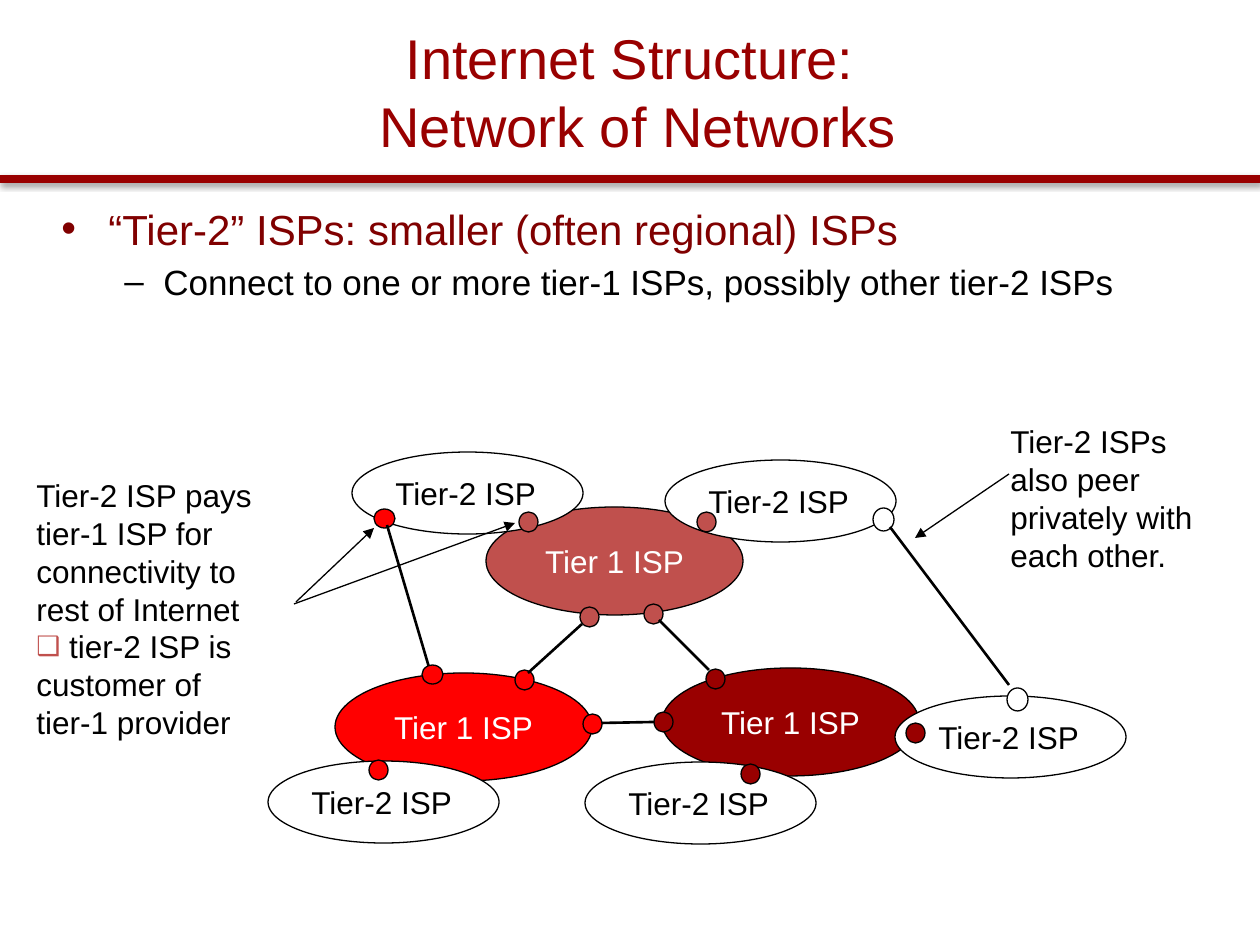
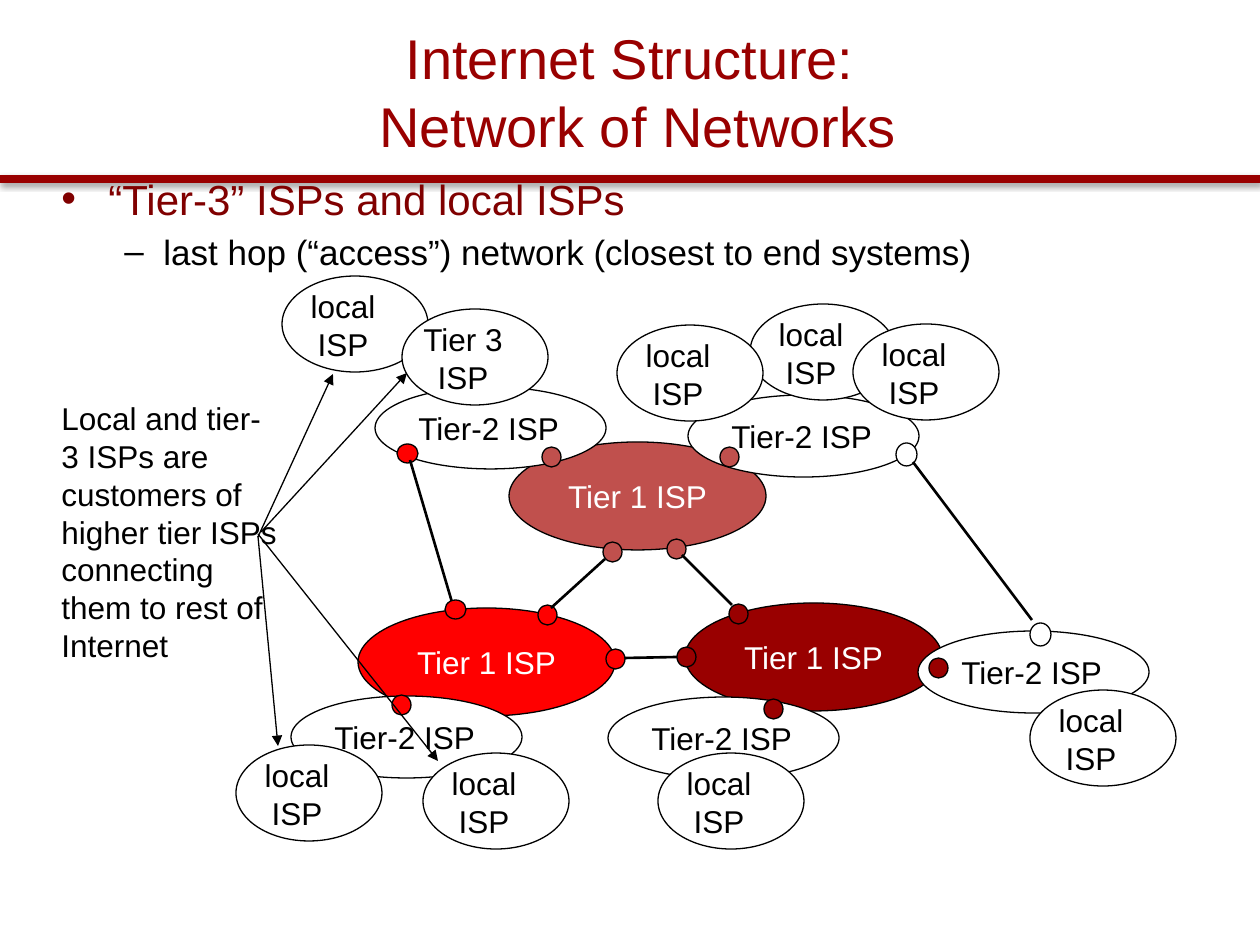
from lxml.etree import SubElement
from pptx import Presentation
from pptx.dml.color import RGBColor
from pptx.enum.shapes import MSO_CONNECTOR, MSO_SHAPE
from pptx.enum.text import MSO_ANCHOR, PP_ALIGN
from pptx.oxml.ns import qn
from pptx.util import Pt

SCALE = 914400 / 126
FONT = "Arial"
DARK, RED, ROSE = "990000", "FF0000", "C0504D"
MAROON, BLACK, WHITE = "800000", "000000", "FFFFFF"
TITLE = "Internet Structure:\v Network of Networks"

TIER1 = [(335, 673, RED), (486, 507, ROSE), (662, 668, DARK)]
DOTS = [(706, 669, DARK), (644, 604, ROSE), (580, 607, ROSE),
        (515, 670, RED), (583, 714, RED), (654, 712, DARK)]
LINKS = [(602, 723, 654, 722), (659, 620, 709, 670), (528, 673, 582, 624)]
TIER2 = [(665, 460), (352, 452), (268, 761), (585, 762), (895, 696)]
GATES = [(697, 512, ROSE), (519, 512, ROSE), (369, 760, RED),
         (741, 764, DARK), (906, 723, DARK)]
LOCALS = [(750, 304, "local"), (617, 325, "local"), (853, 324, "local"),
          (236, 745, "local"), (282, 276, "local"), (402, 309, "Tier 3"),
          (423, 753, "local"), (658, 753, "local"), (1030, 690, "local")]


def px(*nums):
    """Turn px lengths into EMU."""
    return [round(num * SCALE) for num in nums]


def rgb(code):
    """Turn a hex string into a colour."""
    return RGBColor.from_string(code)


def style(par, text, size, color, align=PP_ALIGN.LEFT):
    """Fill one paragraph and set its font."""
    par.text = text
    par.alignment = align
    par.font.name = FONT
    par.font.size = Pt(size)
    par.font.color.rgb = rgb(color)


def bullet(par, char, color, size=100, left=0, hang=0):
    """Give a paragraph a bullet and a hanging indent."""
    props = par._p.get_or_add_pPr()
    left, hang = px(left, hang)
    props.set("marL", str(left))
    props.set("indent", str(-hang))
    tint = SubElement(props, qn("a:buClr"))
    SubElement(tint, qn("a:srgbClr"), val=color)
    SubElement(props, qn("a:buSzPct"), val=str(size * 1000))
    SubElement(props, qn("a:buFont"), typeface=FONT)
    SubElement(props, qn("a:buChar"), char=char)


def pars(frame, count):
    """Return the wanted number of paragraphs of a frame."""
    return [frame.paragraphs[0]] + [frame.add_paragraph() for _ in range(count - 1)]


def label(slide, box, lines, size=18, color=BLACK, align=PP_ALIGN.LEFT, wrap=True):
    """Add a text box with one paragraph a line."""
    frame = slide.shapes.add_textbox(*px(*box)).text_frame
    frame.word_wrap = wrap
    for par, line in zip(pars(frame, len(lines)), lines):
        style(par, line, size, color, align)
    return frame


def oval(slide, x, y, wide, high, fill, text=""):
    """Add an outlined ellipse, with a white label if there is text."""
    shape = slide.shapes.add_shape(MSO_SHAPE.OVAL, *px(x, y, wide, high))
    shape.shadow.inherit = False
    shape.fill.solid()
    shape.fill.fore_color.rgb = rgb(fill)
    shape.line.color.rgb = rgb(BLACK)
    shape.line.width = Pt(0.75)
    if text:
        frame = shape.text_frame
        frame.word_wrap = False
        frame.vertical_anchor = MSO_ANCHOR.MIDDLE
        style(frame.paragraphs[0], text, 18, WHITE, PP_ALIGN.CENTER)


def line(slide, ends, width=1.5, color=BLACK):
    """Add a straight line and return it with its empty effect list."""
    wire = slide.shapes.add_connector(MSO_CONNECTOR.STRAIGHT, *px(*ends))
    wire.line.color.rgb = rgb(color)
    wire.line.width = Pt(width)
    return wire, SubElement(wire._element.spPr, qn("a:effectLst"))


def arrow(slide, *ends):
    """Add a thin line with an arrowhead at its end."""
    wire, _ = line(slide, ends, 0.75)
    SubElement(wire.line._get_or_add_ln(), qn("a:tailEnd"), type="triangle")


def band(slide):
    """Add the shadowed rule below the title."""
    _, effects = line(slide, (0, 179, 1260, 179), 5, DARK)
    shade = SubElement(effects, qn("a:outerShdw"), blurRad=str(Pt(3.1)),
                       dist=str(Pt(1.6)), dir="5400000", rotWithShape="0")
    tint = SubElement(shade, qn("a:srgbClr"), val=BLACK)
    SubElement(tint, qn("a:alpha"), val="38000")


def start(deck, top, head, sub):
    """Add a slide with rule, title and the two bullet levels."""
    slide = deck.slides.add_slide(deck.slide_layouts[6])
    band(slide)
    title = label(slide, (63, 12, 1134, 158), [TITLE], 32, DARK, PP_ALIGN.CENTER)
    title.vertical_anchor = MSO_ANCHOR.MIDDLE
    frame = slide.shapes.add_textbox(*px(49, top, 1163, 126)).text_frame
    frame.word_wrap = True
    first, second = pars(frame, 2)
    bullet(first, "•", MAROON, left=47, hang=47)
    style(first, head, 24, MAROON)
    bullet(second, "–", BLACK, left=102, hang=39)
    second.space_before = Pt(4)
    style(second, sub, 20, BLACK)
    return slide


def network(slide, dx=0, dy=0):
    """Draw the tier-1 and tier-2 providers, moved by dx and dy."""
    def wire(x1, y1, x2, y2):
        """Draw one moved link."""
        line(slide, (x1 + dx, y1 + dy, x2 + dx, y2 + dy))

    def node(x, y, wide, high, fill, text=""):
        """Draw one moved ellipse."""
        oval(slide, x + dx, y + dy, wide, high, fill, text)

    for x, y, fill in TIER1:
        node(x, y, 257, 108, fill, "Tier 1 ISP")
    for x, y, fill in DOTS:
        node(x, y, 19, 20, fill)
    for ends in LINKS:
        wire(*ends)
    for (x, y), (gx, gy, fill) in zip(TIER2, GATES):
        node(x, y, 231, 82, WHITE)
        label(slide, (x + dx + 31, y + dy + 16, 168, 50), ["Tier-2 ISP"], wrap=False)
        node(gx, gy, 19, 20, fill)
    node(374, 509, 21, 19, RED)
    wire(387, 525, 431, 674)
    node(422, 665, 21, 19, RED)
    for x, y in [(873, 508), (1007, 688)]:
        node(x, y, 21, 23, WHITE)
    wire(890, 527, 1009, 685)


def second_tier(deck):
    """Build the slide on tier-2 providers."""
    slide = start(deck, 197, "“Tier-2” ISPs: smaller (often regional) ISPs",
                  "Connect to one or more tier-1 ISPs, possibly other tier-2 ISPs")
    network(slide)
    frame = label(slide, (24, 470, 282, 277), [
        "Tier-2 ISP pays tier-1 ISP for connectivity to rest of Internet"])
    item, last = frame.add_paragraph(), frame.add_paragraph()
    bullet(item, "❑", ROSE, 85)
    style(item, " tier-2 ISP is customer of", 18, BLACK)
    style(last, "tier-1 provider", 18, BLACK)
    arrow(slide, 294, 604, 515, 523)
    arrow(slide, 296, 602, 374, 528)
    label(slide, (998, 416, 240, 164),
          ["Tier-2 ISPs also peer privately with each other."])
    arrow(slide, 1009, 474, 915, 538)


def third_tier(deck):
    """Build the slide on tier-3 and local providers."""
    slide = start(deck, 167, "“Tier-3” ISPs and local ISPs",
                  "last hop (“access”) network (closest to end systems)")
    network(slide, 23, -65)
    for x, y, name in LOCALS:
        oval(slide, x, y, 146, 96, WHITE)
        label(slide, (x + 1, y + 5, 120, 88), [name, "ISP"],
              align=PP_ALIGN.CENTER, wrap=False)
    label(slide, (49, 393, 248, 280), [
        "Local and tier- 3 ISPs are customers of", "higher tier ISPs",
        "connecting them to rest of Internet"])
    arrow(slide, 258, 537, 333, 374)
    arrow(slide, 261, 532, 407, 373)
    arrow(slide, 258, 536, 278, 746)
    arrow(slide, 258, 534, 438, 761)


def main():
    """Build and save the deck."""
    deck = Presentation()
    deck.slide_width, deck.slide_height = px(1260, 945)
    second_tier(deck)
    third_tier(deck)
    deck.save("out.pptx")


if __name__ == "__main__":
    main()
